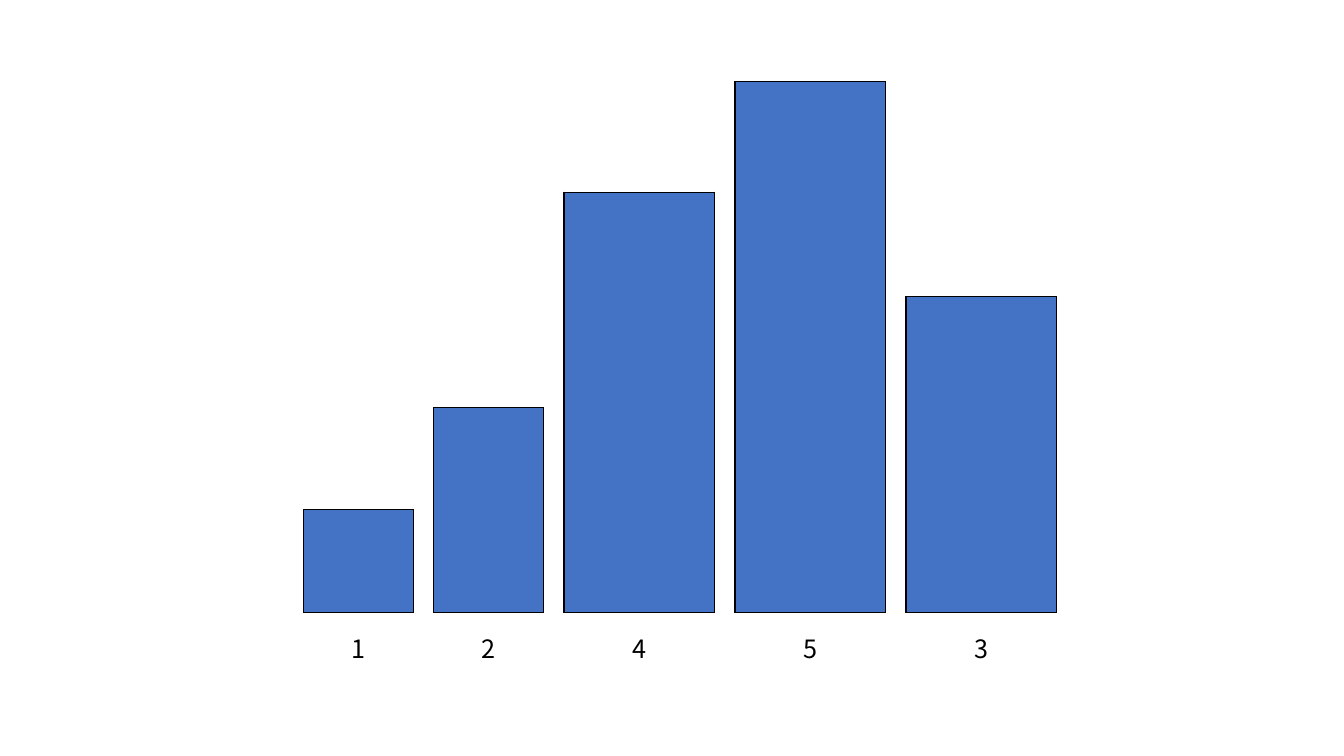
from lxml.etree import SubElement as Sub
from pptx import Presentation as Deck
from pptx.dml.color import RGBColor as Color
from pptx.enum.text import MSO_ANCHOR as Anchor, MSO_AUTO_SIZE as Fit, PP_ALIGN as Align
from pptx.oxml.ns import qn
from pptx.util import Pt

BLUE = Color(0x44, 0x72, 0xC4)
BLACK = Color(0, 0, 0)
FONT = "Noto Sans CJK KR"
LEFT, BASE, GAP = 216.7, 437.3, 14.6
# count, bar width, height of one unit
BARS = [(1, 78.5, 73.3), (2, 78.5, 73), (4, 107.5, 75),
        (5, 107.5, 75.8), (3, 107.5, 75.2)]


def edge(cell, side, drawn):
    """Draw one side of a cell in black, or clear it."""
    line = Sub(cell._tc.get_or_add_tcPr(), qn("a:ln" + side), w=str(Pt(1)))
    if drawn:
        fill = Sub(line, qn("a:solidFill"))
        Sub(fill, qn("a:srgbClr"), val=str(BLACK))
    else:
        Sub(line, qn("a:noFill"))


def bar(slide, x, base, wide, unit, count):
    """Stack count unit cells up from the base, outlined as one bar."""
    high = unit * count
    table = slide.shapes.add_table(count, 1, Pt(x), Pt(base - high),
                                   Pt(wide), Pt(high)).table
    table.first_row = table.horz_banding = False
    table.columns[0].width = Pt(wide)
    for i, row in enumerate(table.rows):
        row.height = Pt(unit)
        cell = row.cells[0]
        sides = {"L": True, "R": True, "T": i == 0, "B": i == count - 1}
        for side, drawn in sides.items():
            edge(cell, side, drawn)
        cell.fill.solid()
        cell.fill.fore_color.rgb = BLUE


def label(slide, mid, top, text):
    """Write a bar's count, centred on mid."""
    wide, high = 24.5, 29
    box = slide.shapes.add_textbox(Pt(mid - wide / 2), Pt(top), Pt(wide), Pt(high))
    frame = box.text_frame
    frame.word_wrap = False
    frame.auto_size = Fit.SHAPE_TO_FIT_TEXT
    frame.vertical_anchor = Anchor.TOP
    para = frame.paragraphs[0]
    para.alignment = Align.CENTER
    run = para.add_run()
    run.text = text
    run.font.name = FONT
    run.font.size = Pt(18)
    run.font.color.rgb = BLACK


def graph(slide, left, base):
    """Set the labelled bars side by side with equal gaps."""
    x = left
    for count, wide, unit in BARS:
        bar(slide, x, base, wide, unit, count)
        label(slide, x + wide / 2, base + 11.3, str(count))
        x += wide + GAP


deck = Deck()
deck.slide_width, deck.slide_height = Pt(960), Pt(540)
graph(deck.slides.add_slide(deck.slide_layouts[6]), LEFT, BASE)
deck.save("out.pptx")
